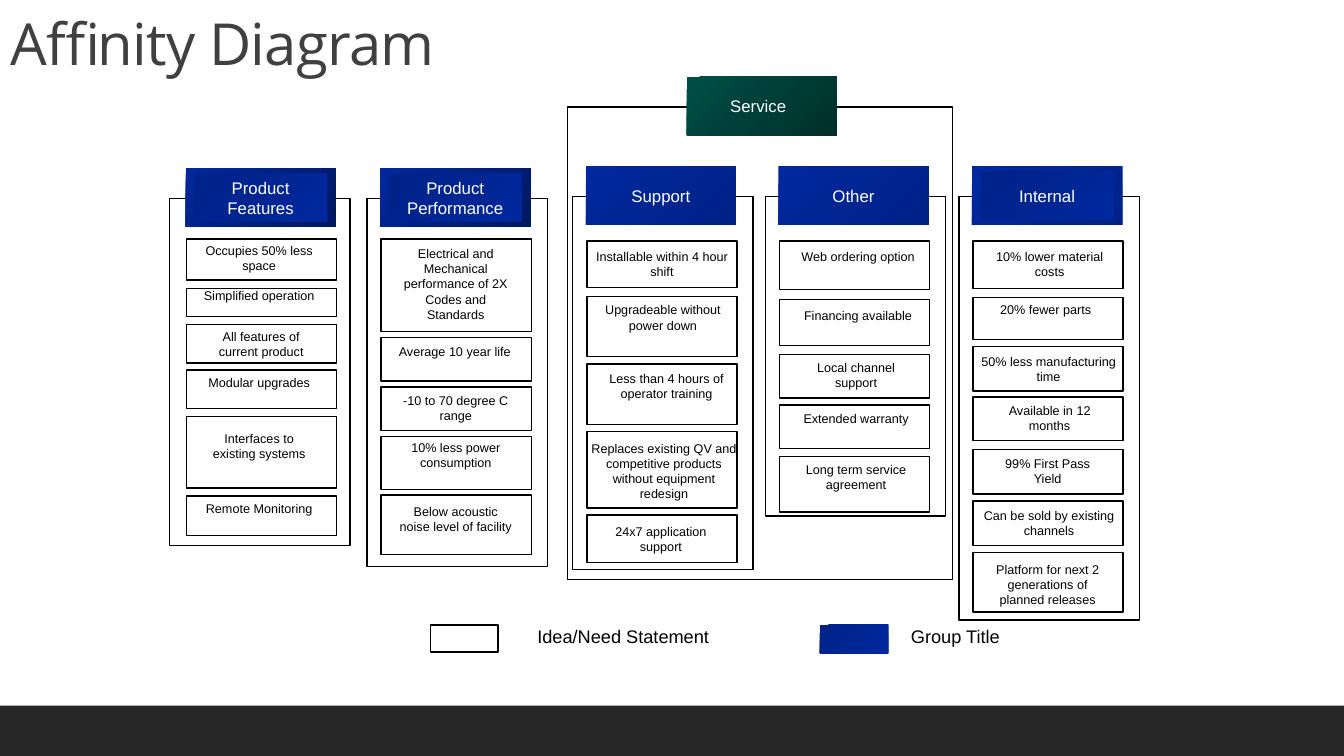
from pptx import Presentation
from pptx.dml.color import RGBColor
from pptx.enum.shapes import MSO_SHAPE as Shape
from pptx.enum.text import MSO_ANCHOR as Anchor, MSO_AUTO_SIZE as AutoSize, PP_ALIGN as Align
from pptx.util import Inches, Pt

BLACK, WHITE = "000000", "FFFFFF"
BRIGHT, MID, DARK = "00289E", "002287", "00185D"
FRAME_W, CARD_W, HEADER_H = 1.79, 1.49, 0.58
PANEL_W, PANEL_H = 1.32, 0.47
hex_color = RGBColor.from_string


def add_box(left, top, width, height, fills=(WHITE,), line=BLACK):
    """Rectangle with a plain fill (one colour) or a diagonal gradient (two)."""
    box = slide.shapes.add_shape(Shape.RECTANGLE, Inches(left), Inches(top),
                                 Inches(width), Inches(height))
    box.shadow.inherit = False
    if len(fills) == 1:
        box.fill.solid()
        box.fill.fore_color.rgb = hex_color(fills[0])
    else:
        box.fill.gradient()
        box.fill.gradient_angle = 315
        for stop, color, position in zip(box.fill.gradient_stops, fills, (0, 1)):
            stop.color.rgb = hex_color(color)
            stop.position = position
    if line:
        box.line.color.rgb = hex_color(line)
        box.line.width = Pt(1)
    else:
        box.line.fill.background()
    return box


def write(shape, text, size, color, anchor=Anchor.MIDDLE, pads=(0, 0, 0)):
    """Centred Arial text; pads are left, top and right."""
    frame = shape.text_frame
    frame.word_wrap = True
    frame.vertical_anchor = anchor
    frame.margin_left, frame.margin_top, frame.margin_right = map(Inches, pads)
    frame.margin_bottom = 0
    frame.text = text
    for paragraph in frame.paragraphs:
        paragraph.alignment = Align.CENTER
        paragraph.font.name = "Arial"
        paragraph.font.size = Pt(size)
        paragraph.font.color.rgb = hex_color(color)


deck = Presentation()
deck.slide_width, deck.slide_height = Inches(13.33), Inches(7.5)
slide = deck.slides.add_slide(deck.slide_layouts[5])

# Footer band and title
add_box(0, 7, 13.33, 0.5, ("262626",), None)
title = slide.shapes.title
title.left, title.top, title.width, title.height = map(Inches, (0, 0.06, 11, 0.76))
title.text_frame.text = "Affinity Diagram"
title.text_frame.auto_size = AutoSize.NONE
title.text_frame.vertical_anchor = Anchor.BOTTOM
heading = title.text_frame.paragraphs[0]
heading.alignment = Align.LEFT
heading.line_spacing = 0.9
heading.font.name = "Open Sans"
heading.font.size = Pt(41.4)
heading.font.color.rgb = hex_color("404040")
heading.runs[0].font._element.set("spc", "-50")

# Service group around Support and Other
add_box(5.63, 1.06, 3.82, 4.69)
write(add_box(6.81, 0.76, CARD_W, HEADER_H, ("004F47", "002F2A"), None),
      "Service", 12, WHITE, pads=(0, 0, 0.07))

# Columns: title, frame left, top, height, card left, header end colour, inner panel, ideas
# Ideas: text, card top, card height, text inset from top, from left, text width
columns = [
    ("Product\nFeatures", 1.68, 1.97, 3.44, 1.85, DARK, True, [
        ("Occupies 50% less space", 2.37, 0.41, 0.04, 0.15, 1.14),
        ("Simplified operation", 2.86, 0.28, 0, 0.15, 1.14),
        ("All features of current product", 3.22, 0.38, 0.04, 0.17, 1.14),
        ("Modular upgrades", 3.67, 0.38, 0.05, 0.15, 1.14),
        ("Interfaces to existing systems", 4.13, 0.71, 0.14, 0.15, 1.14),
        ("Remote Monitoring", 4.92, 0.39, 0.05, 0.15, 1.14)]),
    ("Product\nPerformance", 3.64, 1.97, 3.65, 3.78, DARK, True, [
        ("Electrical and Mechanical performance of 2X Codes and Standards",
         2.37, 0.92, 0.07, 0.17, 1.14),
        ("Average 10 year life", 3.35, 0.43, 0.06, 0.16, 1.14),
        ("-10 to 70 degree C range", 3.84, 0.43, 0.06, 0.17, 1.14),
        ("10% less power consumption", 4.33, 0.53, 0.03, 0.17, 1.14),
        ("Below acoustic noise level of facility", 4.91, 0.59, 0.09, 0.17, 1.14)]),
    ("Support", 5.68, 1.95, 3.7, 5.82, MID, False, [
        ("Installable within 4 hour shift", 2.39, 0.46, 0.08, 0.07, 1.35),
        ("Upgradeable without power down", 2.94, 0.6, 0.06, 0.16, 1.19),
        ("Less than 4 hours of operator training", 3.61, 0.6, 0.07, 0.14, 1.3),
        ("Replaces existing QV and competitive products without equipment redesign",
         4.28, 0.76, 0.09, 0.04, 1.46),
        ("24x7 application support", 5.11, 0.47, 0.09, 0.07, 1.33)]),
    ("Other", 7.59, 1.95, 3.17, 7.73, MID, False, [
        ("Web ordering option", 2.39, 0.48, 0.08, 0.21, 1.14),
        ("Financing available", 2.97, 0.46, 0.08, 0.21, 1.14),
        ("Local channel support", 3.52, 0.43, 0.05, 0.19, 1.14),
        ("Extended warranty", 4.02, 0.43, 0.06, 0.19, 1.14),
        ("Long term service agreement", 4.53, 0.55, 0.05, 0.19, 1.14)]),
    ("Internal", 9.51, 1.95, 4.2, 9.65, MID, True, [
        ("10% lower material costs", 2.39, 0.47, 0.08, 0.19, 1.14),
        ("20% fewer parts", 2.95, 0.42, 0.05, 0.15, 1.14),
        ("50% less manufacturing time", 3.44, 0.44, 0.07, 0.01, 1.49),
        ("Available in 12 months", 3.94, 0.43, 0.06, 0.19, 1.14),
        ("99% First Pass Yield", 4.46, 0.44, 0.06, 0.17, 1.14),
        ("Can be sold by existing channels", 4.97, 0.44, 0.07, 0.1, 1.31),
        ("Platform for next 2 generations of planned releases",
         5.48, 0.59, 0.09, 0.11, 1.26)]),
]

for name, left, top, height, card_left, shade, has_panel, ideas in columns:
    add_box(left, top, FRAME_W, height)

    # Group title straddles the top edge of the frame
    header_left, header_top = card_left - 0.01, top - 0.3
    header = add_box(header_left, header_top, CARD_W, HEADER_H, (BRIGHT, shade), None)
    if has_panel:
        header = add_box(header_left + (CARD_W - PANEL_W) / 2,
                         header_top + (HEADER_H - PANEL_H) / 2,
                         PANEL_W, PANEL_H, (MID, BRIGHT), None)
    write(header, name, 12, WHITE)

    # Idea cards
    for idea, card_top, card_height, drop, indent, width in ideas:
        card = add_box(card_left, card_top, CARD_W, card_height)
        write(card, idea, 9, BLACK, Anchor.TOP,
              (indent, drop, max(0, CARD_W - indent - width)))

# Legend
add_box(4.27, 6.2, 0.67, 0.27)
add_box(8.13, 6.2, 0.68, 0.28, (MID, BRIGHT), None)
for label, left, width in (("Idea/Need Statement", 5.03, 2.3), ("Group Title", 8.85, 1.25)):
    caption = slide.shapes.add_textbox(Inches(left), Inches(6.2), Inches(width), Inches(0.22))
    write(caption, label, 13, BLACK, Anchor.TOP)

deck.save("out.pptx")
